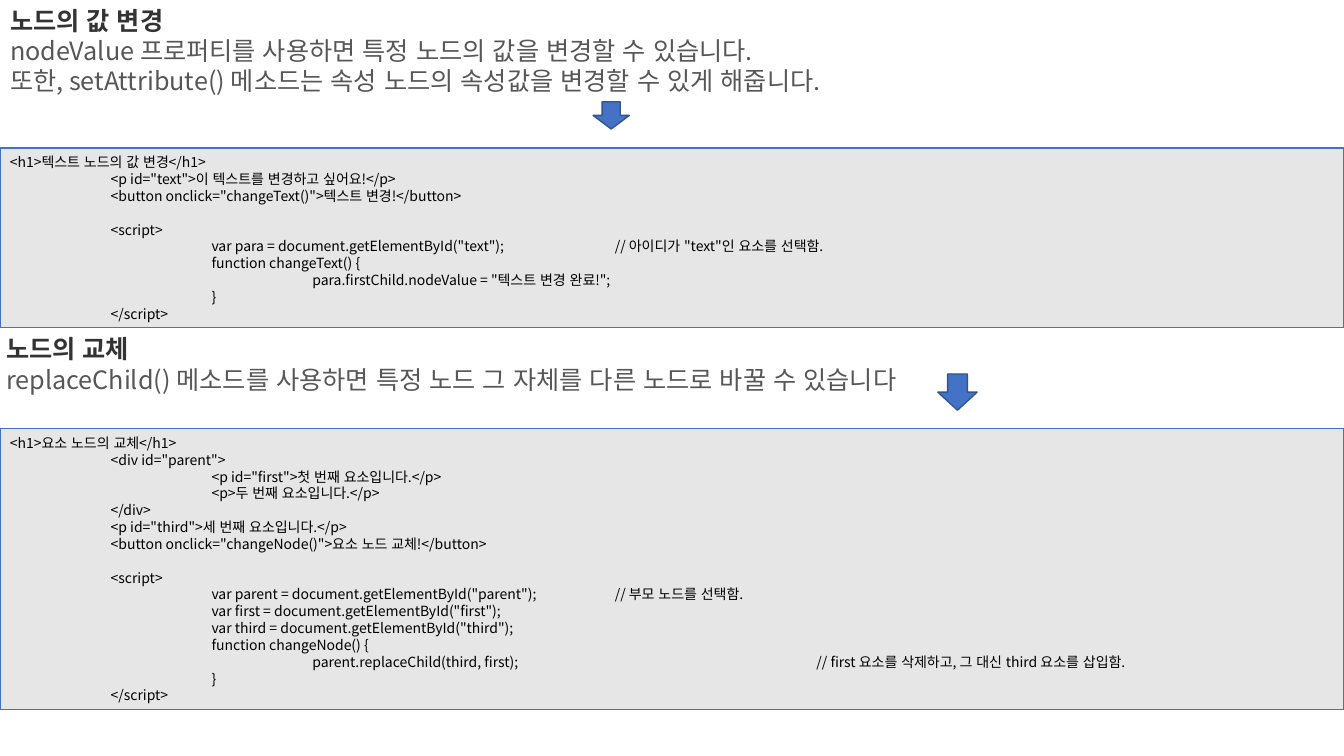
from lxml.etree import SubElement
from pptx import Presentation
from pptx.dml.color import RGBColor
from pptx.enum.lang import MSO_LANGUAGE_ID as Language
from pptx.enum.shapes import MSO_SHAPE as Preset
from pptx.enum.text import MSO_ANCHOR as Anchor, MSO_AUTO_SIZE as AutoSize, PP_ALIGN as Align
from pptx.oxml.ns import qn
from pptx.util import Inches, Pt

FONT = "Noto Sans CJK KR"

deck = Presentation()
deck.slide_width, deck.slide_height = Inches(13.33), Inches(7.5)
slide = deck.slides.add_slide(deck.slide_layouts[1])


def share(left, top, width, height):
    across, down = deck.slide_width / 100, deck.slide_height / 100
    return [int(part) for part in (left * across, top * down, width * across, height * down)]


def write(holder, lines, size, colors, anchor):
    frame = holder.text_frame
    frame.text = "\n".join(line for line in lines if line)
    frame.word_wrap = True
    frame.auto_size = AutoSize.NONE
    frame.vertical_anchor = anchor
    gaps = [before == "" for before, line in zip([None] + lines, lines) if line]
    for index, (paragraph, gap) in enumerate(zip(frame.paragraphs, gaps)):
        paragraph.alignment = Align.LEFT
        paragraph.line_spacing = 1.0
        paragraph.space_before = Pt(size * 1.2 if gap else 0)
        properties = paragraph._p.get_or_add_pPr()
        properties.set("marL", "0")
        properties.set("indent", "0")
        properties.set("defTabSz", str(Inches(1)))
        SubElement(properties, qn("a:buNone"))
        for run in paragraph.runs:
            run.font.size = Pt(size)
            run.font.bold = index == 0 and len(colors) > 1
            run.font.color.rgb = RGBColor.from_string(colors[min(index, len(colors) - 1)])
            run.font.name = FONT
            run.font.language_id = Language.KOREAN
            SubElement(run._r.get_or_add_rPr(), qn("a:ea"), typeface=FONT)


value_intro = [
    "노드의 값\u00a0변경",
    "nodeValue 프로퍼티를 사용하면 특정 노드의 값을 변경할 수 있습니다.",
    "또한, setAttribute() 메소드는\u00a0속성 노드의 속성값을 변경할 수 있게 해줍니다.",
]
replace_intro = [
    "노드의 교체",
    "replaceChild() 메소드를 사용하면\u00a0특정 노드 그 자체를 다른 노드로 바꿀 수 있습니다",
]
value_code = [
    '<h1>텍스트 노드의 값 변경</h1>',
    '\t<p id="text">이 텍스트를 변경하고 싶어요!</p>',
    '\t<button onclick="changeText()">텍스트 변경!</button>',
    '',
    '\t<script>',
    '\t\tvar para = document.getElementById("text");\t\t// 아이디가 "text"인 요소를 선택함.',
    '\t\tfunction changeText() {',
    '\t\t\tpara.firstChild.nodeValue = "텍스트 변경 완료!";',
    '\t\t}',
    '\t</script>',
]
replace_code = [
    '<h1>요소 노드의 교체</h1>',
    '\t<div id="parent">',
    '\t\t<p id="first">첫 번째 요소입니다.</p>',
    '\t\t<p>두 번째 요소입니다.</p>',
    '\t</div>',
    '\t<p id="third">세 번째 요소입니다.</p>',
    '\t<button onclick="changeNode()">요소 노드 교체!</button>',
    '',
    '\t<script>',
    '\t\tvar parent = document.getElementById("parent");\t// 부모 노드를 선택함.',
    '\t\tvar first = document.getElementById("first");',
    '\t\tvar third = document.getElementById("third");',
    '\t\tfunction changeNode() {',
    '\t\t\tparent.replaceChild(third, first);\t\t\t// first 요소를 삭제하고, 그 대신 third 요소를 삽입함.',
    '\t\t}',
    '\t</script>',
]

sections = [
    (slide.shapes.title, value_intro, (0, 0, 100, 13.47),
     value_code, (0, 19.6, 100, 23.73), (44.13, 13.47, 2.7, 3.6)),
    (slide.placeholders[1], replace_intro, (-0.3, 43.47, 100.3, 9.47),
     replace_code, (0, 56.67, 100, 37.2), (69.78, 49.47, 2.93, 4.8)),
]
for intro, intro_lines, intro_area, code_lines, code_area, arrow_area in sections:
    intro.left, intro.top, intro.width, intro.height = share(*intro_area)
    write(intro, intro_lines, 18, ["333333", "575757"], Anchor.TOP)
    code = slide.shapes.add_shape(Preset.RECTANGLE, *share(*code_area))
    write(code, code_lines, 10, ["000000"], Anchor.MIDDLE)
    arrow = slide.shapes.add_shape(Preset.DOWN_ARROW, *share(*arrow_area))
    for part, fill, outline in [(code, "E7E6E6", "4472C4"), (arrow, "4472C4", "325491")]:
        part.shadow.inherit = False
        part.fill.solid()
        part.fill.fore_color.rgb = RGBColor.from_string(fill)
        part.line.color.rgb = RGBColor.from_string(outline)
        part.line.width = Pt(1)

deck.save("out.pptx")
